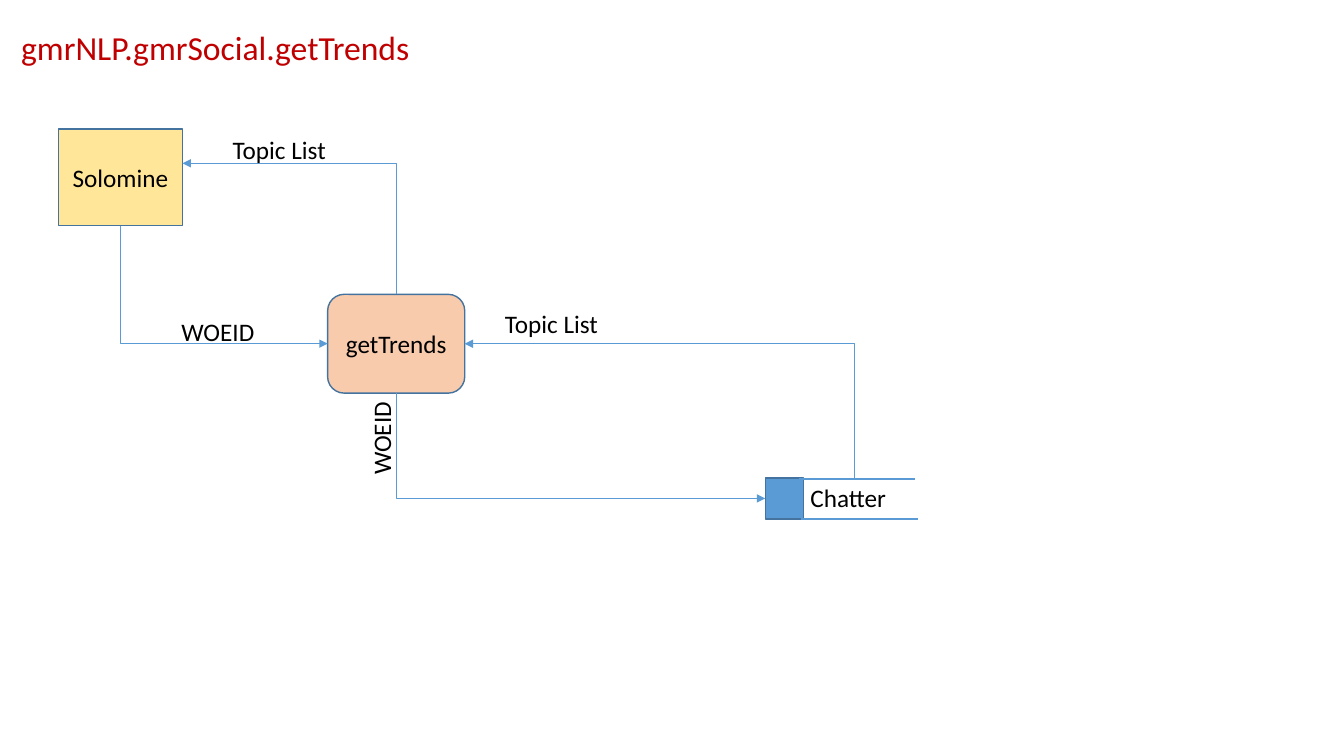
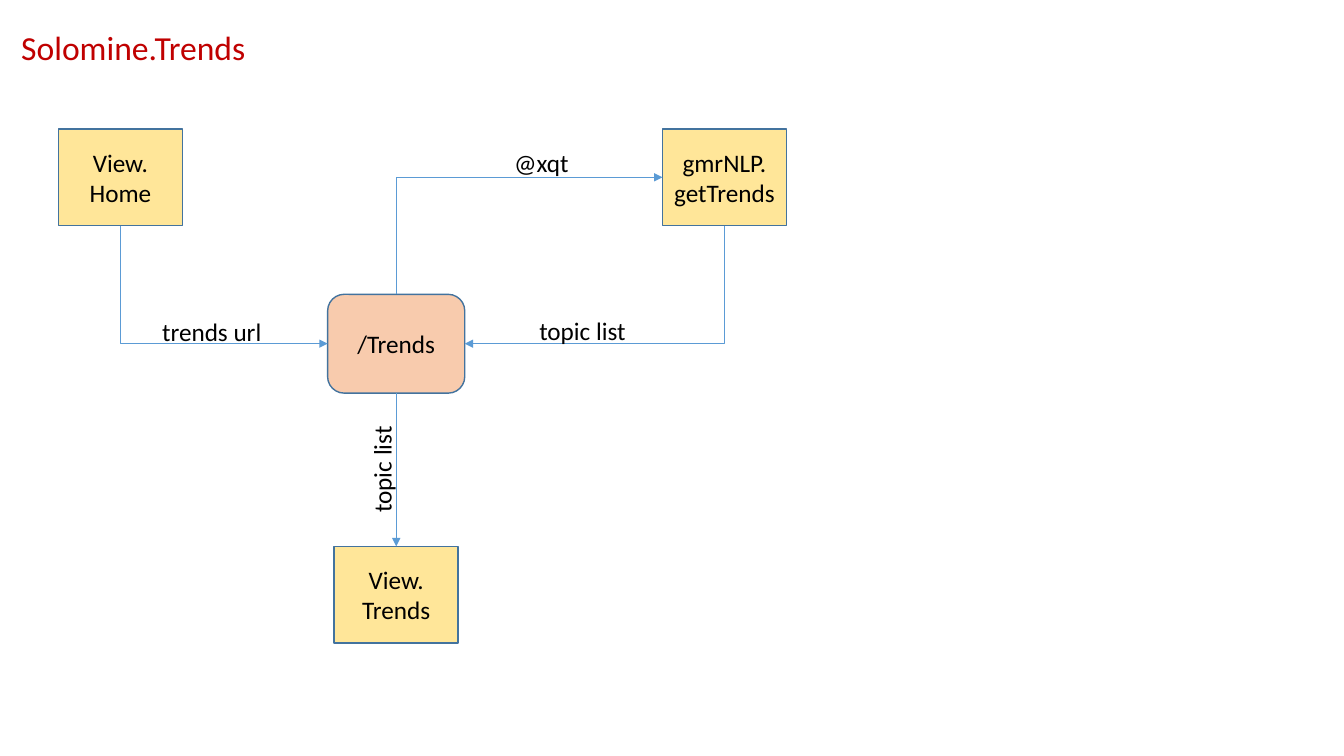
from lxml import etree
from pptx import Presentation
from pptx.dml.color import RGBColor
from pptx.enum.shapes import MSO_CONNECTOR, MSO_SHAPE
from pptx.enum.text import MSO_ANCHOR, MSO_AUTO_SIZE, PP_ALIGN
from pptx.oxml.ns import qn
from pptx.util import Inches, Pt

RECTANGLE = MSO_SHAPE.RECTANGLE
ROUNDED = MSO_SHAPE.ROUNDED_RECTANGLE
STRAIGHT = MSO_CONNECTOR.STRAIGHT
ELBOW = MSO_CONNECTOR.ELBOW
TOP, BOTTOM = 0, 2  # connection sites

# Shared style
FONT = "Calibri"
RED = RGBColor(0xC0, 0x00, 0x00)
BLACK = RGBColor(0x00, 0x00, 0x00)
PEACH = RGBColor(0xF8, 0xCB, 0xAD)
YELLOW = RGBColor(0xFF, 0xE6, 0x99)
BLUE = RGBColor(0x5B, 0x9B, 0xD5)
OUTLINE = RGBColor(0x43, 0x73, 0x9E)

# Shared grid, in inches
TITLE_ONLY = 5
PROCESS_LEFT, PROCESS_TOP = 3.25, 2.92
PROCESS_WIDTH, PROCESS_HEIGHT = 1.36, 0.98
PROCESS_X = PROCESS_LEFT + PROCESS_WIDTH / 2
ENTITY_WIDTH, ENTITY_HEIGHT = 1.23, 0.96
ENTITY_LEFT, ENTITY_TOP = 0.58, 1.28
LABEL_HEIGHT = 0.4


def write(shape, text, size=18, color=BLACK, align=PP_ALIGN.LEFT,
          anchor=MSO_ANCHOR.TOP):
    frame = shape.text_frame
    frame.text = text
    frame.word_wrap = True
    frame.auto_size = MSO_AUTO_SIZE.NONE
    frame.vertical_anchor = anchor
    paragraph = frame.paragraphs[0]
    paragraph.alignment = align
    font = paragraph.runs[0].font
    font.name, font.size, font.color.rgb = FONT, Pt(size), color


def add_titled_slide(presentation, text):
    slide = presentation.slides.add_slide(presentation.slide_layouts[TITLE_ONLY])
    title = slide.shapes.title
    title.left, title.top = Inches(0.11), Inches(0.22)
    title.width, title.height = Inches(4.09), Inches(0.5)
    write(title, text, 24, RED)
    return slide


def add_box(shapes, kind, left, top, width, height, fill):
    shape = shapes.add_shape(kind, Inches(left), Inches(top),
                             Inches(width), Inches(height))
    shape.shadow.inherit = False
    shape.fill.solid()
    shape.fill.fore_color.rgb = fill
    shape.line.color.rgb = OUTLINE
    shape.line.width = Pt(1)
    return shape


def add_entity(slide, text, left=ENTITY_LEFT, top=ENTITY_TOP):
    shape = add_box(slide.shapes, RECTANGLE, left, top,
                    ENTITY_WIDTH, ENTITY_HEIGHT, YELLOW)
    write(shape, text, align=PP_ALIGN.CENTER, anchor=MSO_ANCHOR.MIDDLE)
    return shape


def add_process(slide, text):
    shape = add_box(slide.shapes, ROUNDED, PROCESS_LEFT, PROCESS_TOP,
                    PROCESS_WIDTH, PROCESS_HEIGHT, PEACH)
    write(shape, text, align=PP_ALIGN.CENTER, anchor=MSO_ANCHOR.MIDDLE)
    return shape


def add_label(shapes, text, left, top, width, rotation=0):
    label = shapes.add_textbox(Inches(left), Inches(top),
                               Inches(width), Inches(LABEL_HEIGHT))
    label.rotation = rotation
    write(label, text)


def style_line(connector, width, arrow=False):
    connector.line.color.rgb = BLUE
    connector.line.width = Pt(width)
    if arrow:
        tail = etree.SubElement(connector.line._get_or_add_ln(), qn("a:tailEnd"))
        tail.set("type", "triangle")
    etree.SubElement(connector._element.spPr, qn("a:effectLst"))


def add_data_store(slide, text, left, top):
    """Open-ended box: a filled square and two rules around the name."""
    group = slide.shapes.add_group_shape()
    add_box(group.shapes, RECTANGLE, left, top, 0.38, 0.41, BLUE)
    for start, y in ((left + 0.33, top + 0.01), (left + 0.35, top + 0.41)):
        rule = group.shapes.add_connector(STRAIGHT, Inches(start), Inches(y),
                                          Inches(start + 1.16), Inches(y))
        style_line(rule, 1.25)
    add_label(group.shapes, text, left + 0.35, top, 1.05)
    return group


def add_flow(slide, source, target, start_x=None, end_y=None):
    """Arrow that leaves source vertically and enters target from the side."""
    x1 = source.left + source.width // 2 if start_x is None else Inches(start_x)
    y2 = target.top + target.height // 2 if end_y is None else Inches(end_y)
    y1 = source.top if y2 < source.top else source.top + source.height
    x2 = target.left if x1 < target.left else target.left + target.width

    # A quarter turn swaps the sides of the frame around its centre
    center_x, center_y = (x1 + x2) // 2, (y1 + y2) // 2
    half_width, half_height = (y2 - y1) // 2, (x1 - x2) // 2
    connector = slide.shapes.add_connector(
        ELBOW, center_x - half_width, center_y - half_height,
        center_x + half_width, center_y + half_height)
    properties = connector._element.spPr
    properties.find(qn("a:xfrm")).set("rot", "5400000")
    properties.find(qn("a:prstGeom")).set("prst", "bentConnector2")
    style_line(connector, 0.5, arrow=True)


def build_get_trends(presentation):
    slide = add_titled_slide(presentation, "gmrNLP.gmrSocial.getTrends")
    process = add_process(slide, "getTrends")
    solomine = add_entity(slide, "Solomine")
    store = add_data_store(slide, "Chatter", 7.59, 4.74)

    # Flows and their labels
    add_flow(slide, solomine, process)
    add_flow(slide, process, solomine, end_y=1.62)
    add_flow(slide, process, store)
    add_flow(slide, store, process, start_x=8.47)
    for label in (("WOEID", 1.7, 3.09, 0.98),
                  ("WOEID", 3.29, 4.12, 0.98, 270),
                  ("Topic List", 4.91, 3.01, 1.14),
                  ("Topic List", 2.21, 1.28, 1.14)):
        add_label(slide.shapes, *label)


def build_trends(presentation):
    slide = add_titled_slide(presentation, "Solomine.Trends")
    process = add_process(slide, "/Trends")
    home = add_entity(slide, "View. Home")
    service = add_entity(slide, "gmrNLP. getTrends", left=6.57)
    view = add_entity(slide, "View. Trends", PROCESS_X - ENTITY_WIDTH / 2, 5.42)

    # Flows and their labels
    add_flow(slide, home, process)
    add_flow(slide, process, service)
    add_flow(slide, service, process)
    down = slide.shapes.add_connector(STRAIGHT, 0, 0, 0, 0)
    down.begin_connect(process, BOTTOM)
    down.end_connect(view, TOP)
    style_line(down, 0.5, arrow=True)
    for label in (("trends url", 1.51, 3.09, 1.32),
                  ("topic list", 3.2, 4.4, 1.17, 270),
                  ("topic list", 5.25, 3.08, 1.32),
                  ("@xqt", 5, 1.41, 1.32)):
        add_label(slide.shapes, *label)


def main():
    presentation = Presentation()
    presentation.slide_width = Inches(13.33)
    presentation.slide_height = Inches(7.5)
    build_get_trends(presentation)
    build_trends(presentation)
    presentation.save("out.pptx")


if __name__ == "__main__":
    main()
